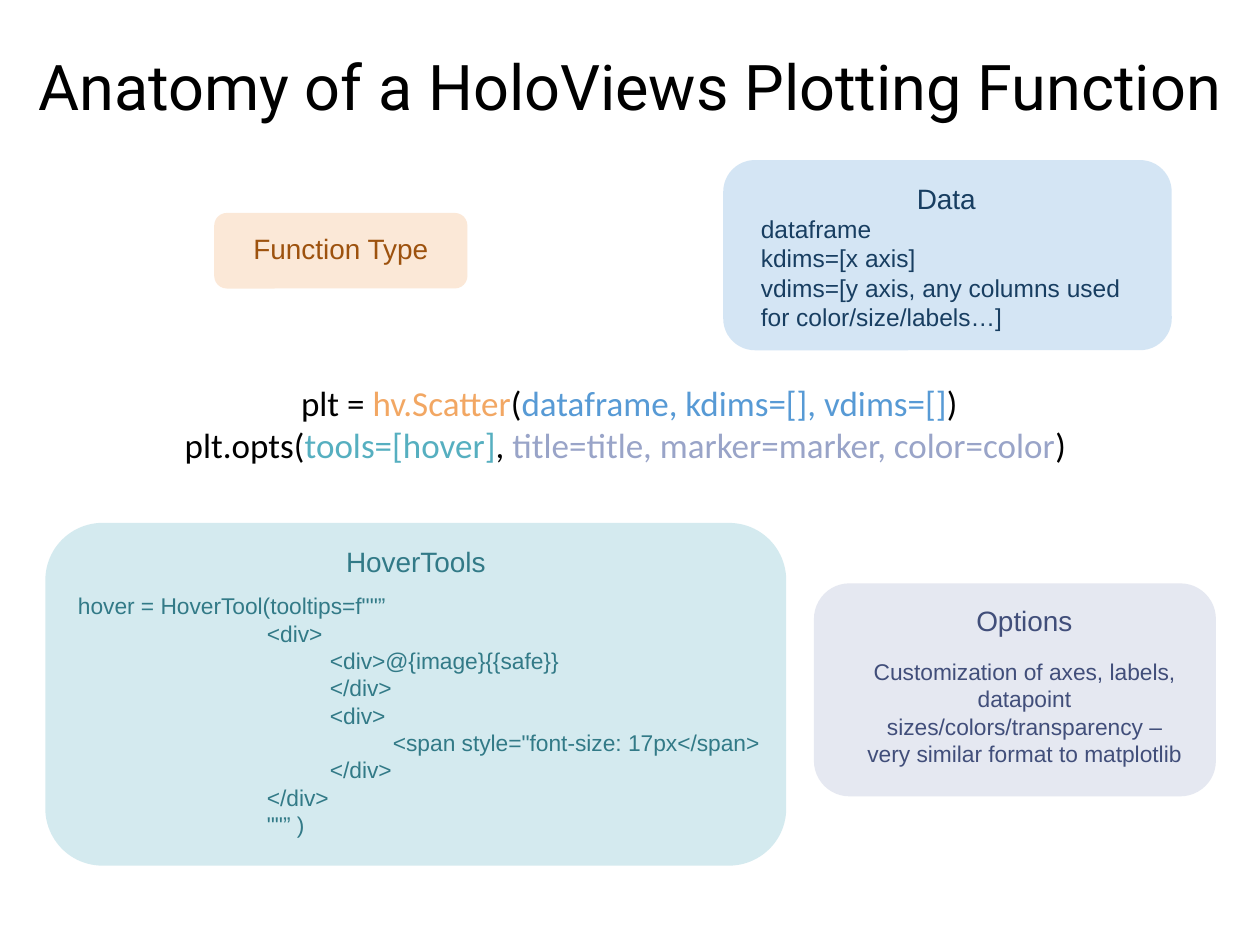
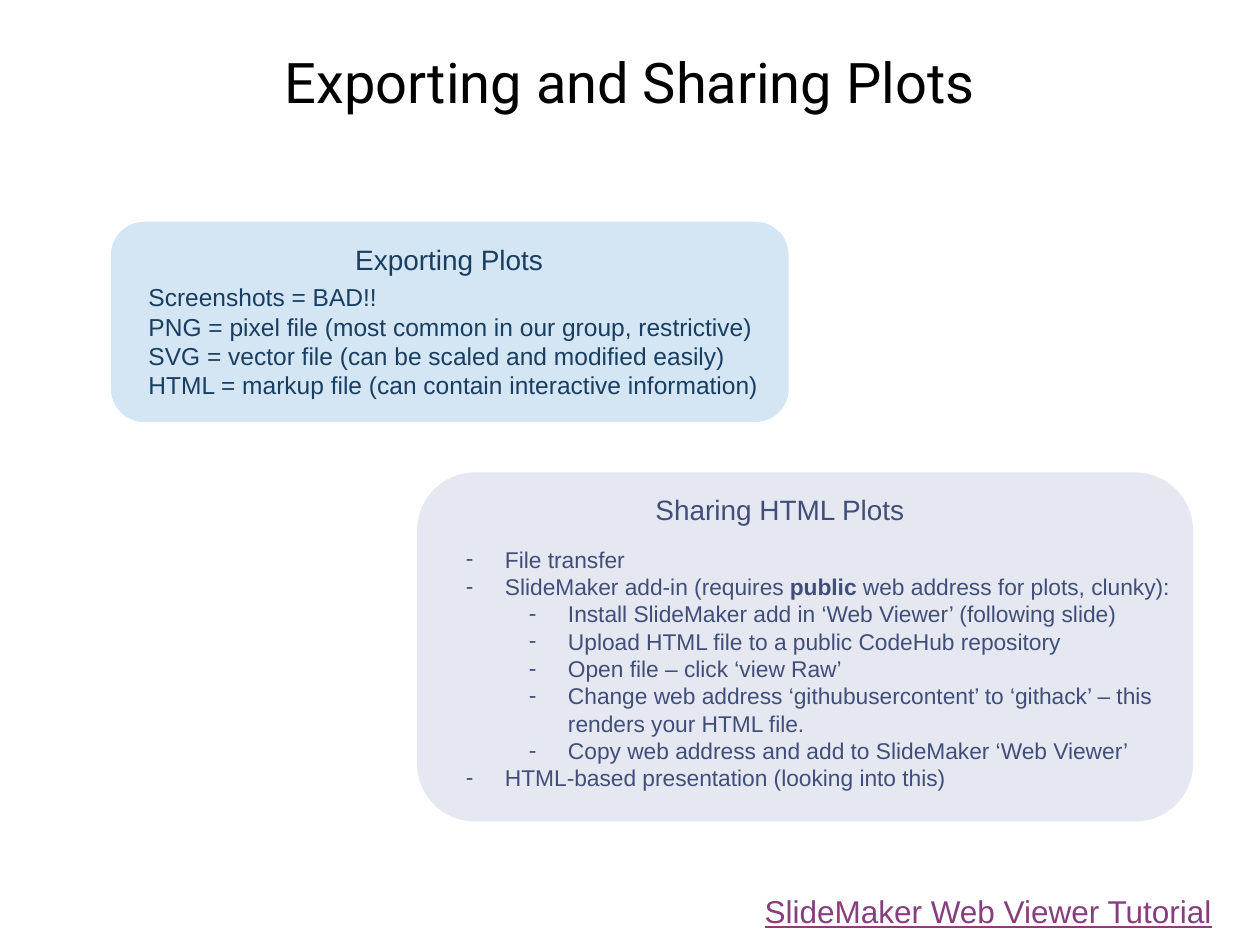
import pptx
import pptx.dml.color
import pptx.enum.shapes
import pptx.enum.text
import pptx.oxml
import pptx.oxml.ns
import pptx.util
from pptx.util import Inches

RGBColor = pptx.dml.color.RGBColor
ALIGN = pptx.enum.text.PP_ALIGN

BLACK = RGBColor(0x00, 0x00, 0x00)
ORANGE = RGBColor(0xF2, 0xA7, 0x63)
DARK_ORANGE = RGBColor(0x9D, 0x52, 0x0E)
BLUE = RGBColor(0x57, 0x9A, 0xD5)
DARK_BLUE = RGBColor(0x18, 0x3E, 0x61)
TEAL = RGBColor(0x56, 0xAF, 0xC0)
DARK_TEAL = RGBColor(0x32, 0x7A, 0x87)
LAVENDER = RGBColor(0x99, 0xA4, 0xC8)
DARK_LAVENDER = RGBColor(0x41, 0x4E, 0x7A)
LINK_PURPLE = RGBColor(0x87, 0x3E, 0x7E)

CARD_OPACITY = 25
BULLET_HANG = 0.31
LEVEL_INDENT = 0.5

# A paragraph is a string or a list of (text, run format) pairs.
PLOT_CALL = [
    [("plt = ", {}), ("hv.Scatter", {"color": ORANGE}), ("(", {}),
     ("dataframe, kdims=[], vdims=[]", {"color": BLUE}), (")", {})],
    [("plt.opts(", {}), ("tools=[hover]", {"color": TEAL}), (", ", {}),
     ("title=title, marker=marker, color=color", {"color": LAVENDER}), (") ", {})],
]

# (tab depth, code)
HOVER_CODE = [
    (0, 'hover = HoverTool(tooltips=f""”'),
    (3, "<div>"),
    (4, "<div>@{image}{{safe}}"),
    (4, "</div>"),
    (4, "<div>"),
    (5, '<span style="font-size: 17px</span>'),
    (4, "</div>"),
    (3, "</div>"),
    (3, '""” )'),
]

# (bullet level, paragraph)
SHARING_STEPS = [
    (0, "File transfer"),
    (0, [("SlideMaker add-in (requires ", {}), ("public", {"bold": True}),
         (" web address for plots, clunky):", {})]),
    (1, "Install SlideMaker add in ‘Web Viewer’ (following slide)"),
    (1, "Upload HTML file to a public CodeHub repository"),
    (1, "Open file – click ‘view Raw’"),
    (1, "Change web address ‘githubusercontent’ to ‘githack’ – this renders your HTML file."),
    (1, "Copy web address and add to SlideMaker ‘Web Viewer’"),
    (0, "HTML-based presentation (looking into this)"),
]

# Boxes are (left, top, width, height) in inches.
ANATOMY_CARDS = [
    {"box": (1.7, 1.69, 2.01, 0.6), "fill": ORANGE, "color": DARK_ORANGE,
     "heading": "Function Type", "heading_box": (1.9, 1.79, 1.61, 0.37)},
    {"box": (5.74, 1.27, 3.56, 1.51), "fill": BLUE, "color": DARK_BLUE,
     "heading": "Data", "heading_box": (7.17, 1.39, 0.68, 0.37),
     "body_box": (5.94, 1.65, 3.14, 1.04), "body_format": {"size": 14},
     "body": ["dataframe", "kdims=[x axis]",
              "vdims=[y axis, any columns used for color/size/labels…]"]},
    {"box": (0.36, 4.15, 5.88, 2.72), "fill": TEAL, "color": DARK_TEAL,
     "heading": "HoverTools", "heading_box": (2.64, 4.27, 1.32, 0.37),
     "body_box": (0.52, 4.65, 5.79, 2.07), "body_format": {"size": 13},
     "body": ["\t" * depth + code for depth, code in HOVER_CODE]},
    {"box": (6.46, 4.63, 3.19, 1.69), "fill": LAVENDER, "color": DARK_LAVENDER,
     "heading": "Options", "heading_box": (7.64, 4.74, 0.98, 0.37),
     "body_box": (6.75, 5.17, 2.76, 0.98),
     "body_format": {"size": 13, "align": ALIGN.CENTER},
     "body": ["Customization of axes, labels, datapoint sizes/colors/transparency"
              " – very similar format to matplotlib"]},
]

SHARING_CARDS = [
    {"box": (0.88, 1.76, 5.38, 1.59), "fill": BLUE, "color": DARK_BLUE,
     "heading": "Exporting Plots", "heading_box": (2.71, 1.88, 1.71, 0.37),
     "body_box": (1.08, 2.19, 5.67, 1.04), "body_format": {"size": 14},
     "body": ["Screenshots = BAD!!",
              "PNG = pixel file (most common in our group, restrictive)",
              "SVG = vector file (can be scaled and modified easily)",
              "HTML = markup file (can contain interactive information)"]},
    {"box": (3.31, 3.75, 6.16, 2.77), "fill": LAVENDER, "color": DARK_LAVENDER,
     "heading": "Sharing HTML Plots", "heading_box": (5.09, 3.86, 2.2, 0.37),
     "body_box": (3.6, 4.28, 5.87, 2.29),
     "body_format": {"size": 13, "levels": [level for level, _ in SHARING_STEPS]},
     "body": [step for _, step in SHARING_STEPS]},
]


def lengths(box):
    return [Inches(value) for value in box]


def add_dash(paragraph, level):
    paragraph.level = level
    properties = paragraph._p.get_or_add_pPr()
    properties.set("marL", str(Inches(BULLET_HANG + LEVEL_INDENT * level)))
    properties.set("indent", str(-Inches(BULLET_HANG)))
    namespace = pptx.oxml.ns.nsdecls("a")
    for element in ('buFont {} typeface="Arial"', 'buChar {} char="-"'):
        properties.append(pptx.oxml.parse_xml(f"<a:{element.format(namespace)}/>"))


def write_text(shape, paragraphs, size, color=BLACK, font="Arial", align=ALIGN.LEFT,
               wrap=True, underline=None, levels=None):
    """Fill a shape with paragraphs; levels, if given, adds a dash to each one."""
    frame = shape.text_frame
    frame.word_wrap = wrap
    frame.auto_size = pptx.enum.text.MSO_AUTO_SIZE.SHAPE_TO_FIT_TEXT
    frame.vertical_anchor = pptx.enum.text.MSO_ANCHOR.TOP
    for index, content in enumerate(paragraphs):
        paragraph = frame.add_paragraph() if index else frame.paragraphs[0]
        paragraph.alignment = align
        if levels:
            add_dash(paragraph, levels[index])
        runs = [(content, {})] if isinstance(content, str) else content
        for text, run_format in runs:
            run = paragraph.add_run()
            run.text = text
            run.font.name = font
            run.font.size = pptx.util.Pt(size)
            run.font.bold = run_format.get("bold")
            run.font.underline = underline
            run.font.color.rgb = run_format.get("color", color)


def add_text(shapes, box, paragraphs, **text_format):
    write_text(shapes.add_textbox(*lengths(box)), paragraphs, **text_format)


def add_card(slide, card):
    """Group a translucent rounded panel with its heading and optional body."""
    shapes = slide.shapes.add_group_shape().shapes
    panel = shapes.add_shape(pptx.enum.shapes.MSO_SHAPE.ROUNDED_RECTANGLE,
                             *lengths(card["box"]))
    panel.shadow.inherit = False
    panel.line.fill.background()
    panel.fill.solid()
    panel.fill.fore_color.rgb = card["fill"]
    color_element = panel._element.spPr.find(".//" + pptx.oxml.ns.qn("a:srgbClr"))
    namespace = pptx.oxml.ns.nsdecls("a")
    color_element.append(pptx.oxml.parse_xml(
        f'<a:alpha {namespace} val="{CARD_OPACITY * 1000}"/>'))
    add_text(shapes, card["heading_box"], [card["heading"]], size=16,
             color=card["color"], align=ALIGN.CENTER, wrap=False)
    if "body" in card:
        add_text(shapes, card["body_box"], card["body"], color=card["color"],
                 **card["body_format"])


def add_titled_slide(presentation, title, box, size, cards):
    slide = presentation.slides.add_slide(presentation.slide_layouts[5])
    placeholder = slide.shapes.title
    placeholder.left, placeholder.top, placeholder.width, placeholder.height = lengths(box)
    write_text(placeholder, [title], size=size, font="Roboto", align=ALIGN.CENTER)
    for card in cards:
        add_card(slide, card)
    return slide


def main():
    presentation = pptx.Presentation()
    presentation.slide_width = Inches(10)
    presentation.slide_height = Inches(7.5)

    anatomy = add_titled_slide(presentation, "Anatomy of a HoloViews Plotting Function",
                               (0.1, 0.33, 9.8, 0.71), 36, ANATOMY_CARDS)
    add_text(anatomy.shapes, (1.33, 2.98, 7.33, 0.77), PLOT_CALL, size=20,
             font="Calibri", align=ALIGN.CENTER, wrap=False)

    sharing = add_titled_slide(presentation, "Exporting and Sharing Plots",
                               (2.02, 0.33, 5.96, 0.64), 32, SHARING_CARDS)
    add_text(sharing.shapes, (5.97, 7.03, 3.81, 0.4), ["SlideMaker Web Viewer Tutorial"],
             size=18, color=LINK_PURPLE, underline=True, wrap=False)

    presentation.save("out.pptx")


if __name__ == "__main__":
    main()
